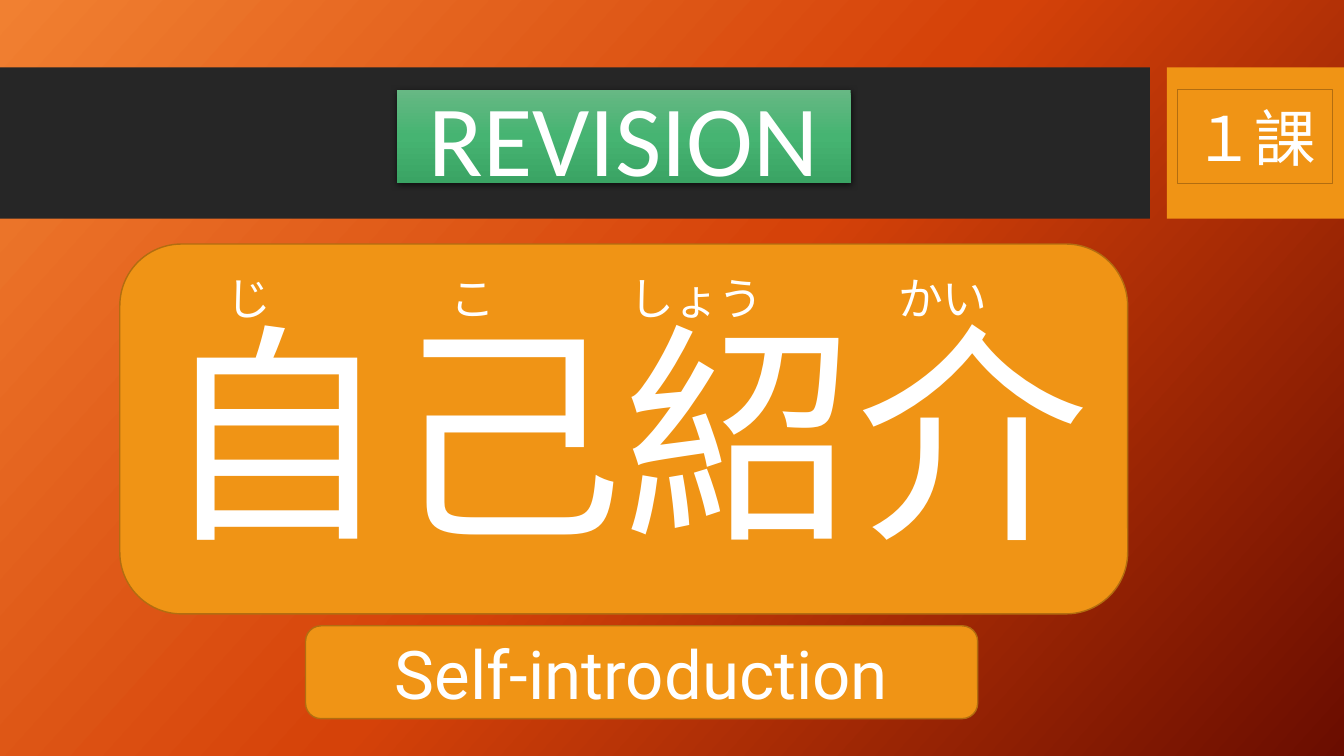
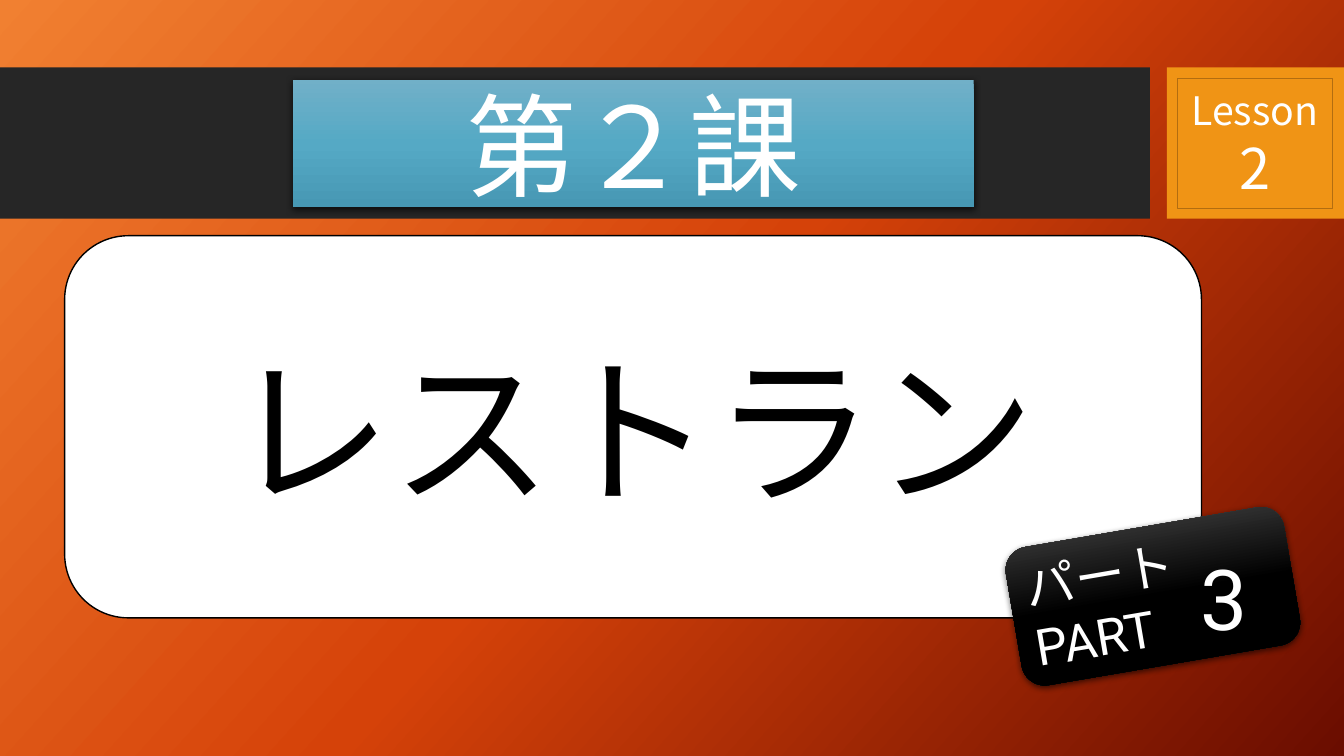
from lxml.etree import SubElement
from pptx import Presentation
from pptx.dml.color import RGBColor
from pptx.enum.shapes import MSO_SHAPE as Kind
from pptx.enum.text import MSO_ANCHOR as Anchor, MSO_AUTO_SIZE as Auto, PP_ALIGN as Align
from pptx.oxml import parse_xml
from pptx.oxml.ns import qn
from pptx.util import Cm, Pt

# Shared look
HUE = {"white": "FFFFFF", "black": "000000", "band": "262626",
       "gold": "F09415", "edge": "B26D10"}
FADE = {"back": ("F18031", "D54209", "6A0D00"),
        "green": ("67B884", "46B472", "3AA464"),
        "blue": ("71B0C8", "55A9C5", "4798B4"),
        "dark": ("4D4D4D", "000000", "000000")}
JP, SANS, LATIN = "Noto Sans CJK JP", "Roboto", "Calibri"
WIDE, HIGH = 33.87, 19.05
TOP, DEEP = 1.7, 3.81
BANDS = [("band", (0, TOP, 28.98, DEEP)), ("gold", (29.41, TOP, 4.46, DEEP))]

# Content: boxes are left, top, width, height in cm
RUBY = 32
EM = RUBY * 2.54 / 72
SLIDES = [
    {"title": dict(text="REVISION", box=(10.01, 2.26, 11.43, 2.34),
                   fade="green", size=72, font=LATIN),
     "parts": [
         dict(text="自己紹介", box=(3.02, 6.15, 25.4, 9.32), size=166),
         dict(text="じ\tこ\tしょう\tかい", box=(5.45, 6.55, 22.23, 1.91), fill=None,
              size=RUBY, align=Align.LEFT, tabs=[EM * n for n in (5, 9, 15)]),
         dict(text="Self-introduction", box=(7.7, 15.77, 16.94, 2.34),
              size=48, font=SANS),
         dict(text="１課", box=(29.67, 2.26, 3.91, 2.36), size=44,
              kind=Kind.RECTANGLE)]},
    {"title": dict(text="第２課", box=(7.39, 2.01, 17.15, 3.2),
                   fade="blue", size=80),
     "parts": [
         dict(text="レストラン", box=(1.63, 5.94, 28.65, 9.63), fill="white",
              edge="black", size=115, color="black"),
         dict(text="パート\nPART", box=(25.5, 13.26, 7.11, 3.53), fade="dark",
              size=36, font=SANS, align=Align.LEFT, turn=350.3),
         dict(text="3", box=(29.67, 13.87, 2.34, 2.34), fill=None,
              size=60, font=SANS),
         dict(text="Lesson\n2", box=(29.67, 1.98, 3.91, 3.28), size=(28, 40),
              kind=Kind.RECTANGLE)]},
]


def rgb(name):
    return RGBColor.from_string(HUE[name])


def blend(fill, root, name, angle):
    """Three even gradient stops, angle clockwise."""
    fill.gradient()
    fill.gradient_angle = 360 - angle
    stops = root.find(".//" + qn("a:gsLst"))
    for old in list(stops):
        stops.remove(old)
    for n, hue in enumerate(FADE[name]):
        stop = SubElement(stops, qn("a:gs"), pos=str(n * 50000))
        SubElement(stop, qn("a:srgbClr"), val=hue)


def cast(shape):
    """Soft shadow straight below."""
    list_ = shape.element.spPr.find(qn("a:effectLst"))
    drop = SubElement(list_, qn("a:outerShdw"), blurRad=str(Pt(4.5)),
                      dist=str(Pt(1.5)), dir="5400000", algn="ctr", rotWithShape="0")
    hue = SubElement(drop, qn("a:srgbClr"), val=HUE["black"])
    SubElement(hue, qn("a:alpha"), val="63000")


def write(shape, text, size, font=JP, color="white", align=Align.CENTER, tabs=()):
    frame = shape.text_frame
    frame.word_wrap, frame.auto_size = True, Auto.NONE
    frame.vertical_anchor = Anchor.MIDDLE
    for n, line in enumerate(text.split("\n")):
        para = frame.add_paragraph() if n else frame.paragraphs[0]
        para.alignment = align
        run = para.add_run()
        run.text = line
        run.font.size = Pt(size[n] if isinstance(size, tuple) else size)
        run.font.name = font
        run.font.color.rgb = rgb(color)
        SubElement(run.font._element, qn("a:ea"), typeface=font)
        if tabs:
            stops = SubElement(para._p.get_or_add_pPr(), qn("a:tabLst"))
            for at in tabs:
                SubElement(stops, qn("a:tab"), pos=str(Cm(at)), algn="l")


def paint(shape, fill="gold", edge=None, fade=None):
    shape.shadow.inherit = False
    if fade:
        blend(shape.fill, shape.element, fade, 90)
        cast(shape)
    else:
        shape.fill.solid()
        shape.fill.fore_color.rgb = rgb(fill)
    if edge and not fade:
        shape.line.color.rgb = rgb(edge)
        shape.line.width = Pt(1)
    else:
        shape.line.fill.background()


def place(slide, text, box, fill="gold", edge="edge", fade=None,
          kind=Kind.ROUNDED_RECTANGLE, turn=0, **style):
    spot = [Cm(v) for v in box]
    if fill:
        shape = slide.shapes.add_shape(kind, *spot)
        paint(shape, fill, edge, fade)
    else:
        shape = slide.shapes.add_textbox(*spot)
    shape.rotation = turn
    write(shape, text, **style)


def head(slide, text, box, fade, **style):
    """Title placeholder shaped as a rounded badge."""
    shape = slide.shapes.title
    shape.left, shape.top, shape.width, shape.height = [Cm(v) for v in box]
    shape.element.spPr.insert(1, parse_xml(
        '<a:prstGeom xmlns:a="http://schemas.openxmlformats.org/drawingml/2006/main"'
        ' prst="roundRect"><a:avLst/></a:prstGeom>'))
    paint(shape, fade=fade)
    write(shape, text, **style)


def dress(layout, slide):
    """Give the layout its background and bands."""
    blend(layout.background.fill, layout.element, "back", 42)
    for n, (fill, box) in enumerate(BANDS):
        band = slide.shapes.add_shape(Kind.RECTANGLE, *[Cm(v) for v in box])
        paint(band, fill)
        layout.shapes.element.insert(2 + n, band.element)


def main():
    deck = Presentation()
    deck.slide_width, deck.slide_height = Cm(WIDE), Cm(HIGH)
    layout = deck.slide_layouts[5]
    for n, page in enumerate(SLIDES):
        slide = deck.slides.add_slide(layout)
        if n == 0:
            dress(layout, slide)
        head(slide, **page["title"])
        for part in page["parts"]:
            place(slide, **part)
    deck.save("out.pptx")


if __name__ == "__main__":
    main()
